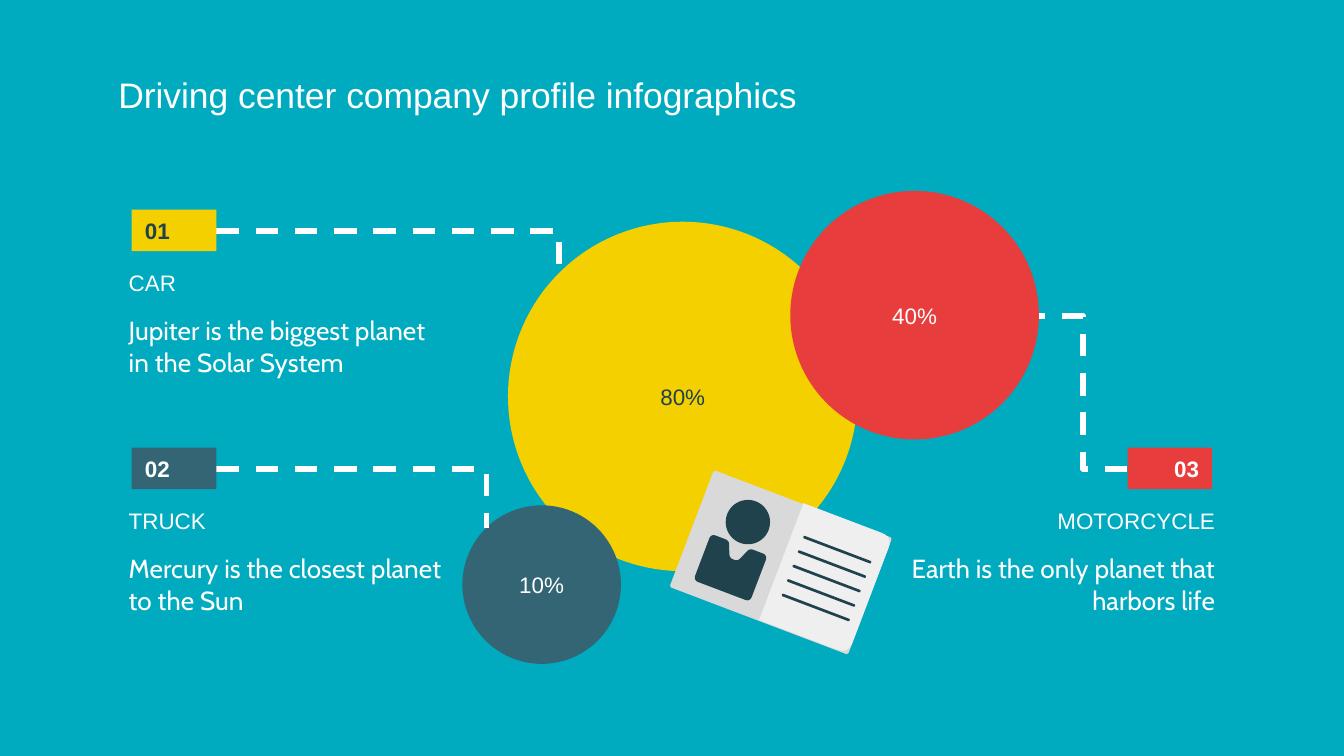
import pptx
import pptx.dml.color
import pptx.enum.dml
import pptx.enum.shapes
import pptx.enum.text
import pptx.oxml
import pptx.oxml.ns
import pptx.util

Inches = pptx.util.Inches
SHAPES = pptx.enum.shapes.MSO_SHAPE
ALIGN = pptx.enum.text.PP_ALIGN
ANCHOR = pptx.enum.text.MSO_ANCHOR

TEAL, WHITE, YELLOW, RED = "00ABBF", "FFFFFF", "F4D000", "E83D3D"
SLATE, DARK, COVER_GREY, PAGE_GREY = "336574", "1F424C", "D9D9D9", "EFEFEF"

TITLE = "Driving center company profile infographics"
# left, top, diameter, fill, label, label colour
CIRCLES = [
    (3.78, 1.65, 2.60, YELLOW, "80%", DARK),
    (3.44, 3.76, 1.18, SLATE, "10%", WHITE),
    (5.88, 1.42, 1.85, RED, "40%", WHITE),
]
# number, heading, description, tag left, tag top, fill, number colour, alignment
ITEMS = [
    ("01", "CAR", "Jupiter is the biggest planet in the Solar System",
     0.98, 1.56, YELLOW, DARK, ALIGN.LEFT),
    ("02", "TRUCK", "Mercury is the closest planet to the Sun",
     0.98, 3.33, SLATE, WHITE, ALIGN.LEFT),
    ("03", "MOTORCYCLE", "Earth is the only planet that harbors life",
     8.39, 3.33, RED, WHITE, ALIGN.RIGHT),
]
TAG_WIDTH, ROW_HEIGHT = 0.63, 0.31
HEADING_WIDTH, TEXT_WIDTH = 1.93, 2.54
TAG_INDENT = 0.12

# Outlines are points, or (control, end) pairs for rounded corners.
LICENSE_TILT = 20.8
PAGE_OUTLINE = [(0, 0), (0.62, 0), ((0.71, 0), (0.71, 0.09)),
                (0.71, 0.84), ((0.71, 0.93), (0.62, 0.93)), (0, 0.93)]
TORSO_WIDTH = 0.45
TORSO_LEFT_HALF = [(0.22, 0.12), ((0.19, 0.12), (0.18, 0.09)), (0.15, 0.02),
                   ((0.14, 0), (0.11, 0)), (0.04, 0), ((0, 0), (0, 0.04)),
                   (0, 0.33), ((0, 0.37), (0.04, 0.37))]
LINE_COUNT = 5
FIRST_LINE, LAST_LINE = (5.96, 4.08), (5.80, 4.51)


def color(hex_value):
    return pptx.dml.color.RGBColor.from_string(hex_value)


def paint(shape, fill):
    shape.shadow.inherit = False
    shape.fill.solid()
    shape.fill.fore_color.rgb = color(fill)
    shape.line.fill.background()


def add_shape(slide, kind, left, top, width, height, fill, rotation=0):
    shape = slide.shapes.add_shape(
        kind, Inches(left), Inches(top), Inches(width), Inches(height))
    paint(shape, fill)
    shape.rotation = rotation
    return shape


def write(shape, text, size, text_color, align=ALIGN.LEFT, font="Arial",
          bold=False, anchor=ANCHOR.MIDDLE):
    frame = shape.text_frame
    frame.word_wrap = True
    frame.auto_size = pptx.enum.text.MSO_AUTO_SIZE.NONE
    frame.vertical_anchor = anchor
    frame.margin_left = frame.margin_right = Inches(0.1)
    frame.margin_top = frame.margin_bottom = Inches(0.1)
    paragraph = frame.paragraphs[0]
    paragraph.alignment = align
    run = paragraph.add_run()
    run.text = text
    run.font.name = font
    run.font.size = pptx.util.Pt(size)
    run.font.bold = bold
    run.font.color.rgb = color(text_color)


def add_text(slide, left, top, width, height, *text, **style):
    box = slide.shapes.add_textbox(
        Inches(left), Inches(top), Inches(width), Inches(height))
    write(box, *text, **style)


def add_elbow(slide, start, end, single_bend=True):
    connector = slide.shapes.add_connector(
        pptx.enum.shapes.MSO_CONNECTOR.ELBOW,
        *(Inches(value) for value in start + end))
    connector.line.color.rgb = color(WHITE)
    connector.line.width = pptx.util.Pt(3)
    connector.line.dash_style = pptx.enum.dml.MSO_LINE.DASH
    properties = connector._element.spPr
    if single_bend:
        geometry = properties.find(pptx.oxml.ns.qn("a:prstGeom"))
        geometry.set("prst", "bentConnector2")
    properties.append(pptx.oxml.parse_xml(
        "<a:effectLst %s/>" % pptx.oxml.ns.nsdecls("a")))


def trace(outline, steps=6):
    """Return the outline as points, with each rounded corner sampled."""
    points = []
    for item in outline:
        if not isinstance(item[0], tuple):
            points.append(item)
            continue
        start, (control, end) = points[-1], item
        for step in range(1, steps + 1):
            t = step / steps
            points.append(tuple(
                (1 - t) ** 2 * a + 2 * t * (1 - t) * b + t ** 2 * c
                for a, b, c in zip(start, control, end)))
    return points


def add_outline(slide, left, top, points, fill):
    corners = [(Inches(left + x), Inches(top + y)) for x, y in points]
    builder = slide.shapes.build_freeform(*corners[0], scale=1.0)
    builder.add_line_segments(corners[1:], close=True)
    shape = builder.convert_to_shape()
    paint(shape, fill)
    shape.rotation = LICENSE_TILT


def add_circles(slide):
    for left, top, diameter, fill, label, label_color in CIRCLES:
        add_shape(slide, SHAPES.OVAL, left, top, diameter, diameter, fill)
        add_text(slide, left + diameter / 2 - 0.59,
                 top + diameter / 2 - ROW_HEIGHT / 2, 1.18, ROW_HEIGHT,
                 label, 12, label_color, ALIGN.CENTER)


def add_items(slide):
    for number, heading, description, left, top, fill, number_color, align in ITEMS:
        rows = [(heading, 12, "Arial", 0.39, HEADING_WIDTH, ROW_HEIGHT),
                (description, 14, "Cabin", 0.70, TEXT_WIDTH, 0.63)]
        for text, size, font, offset, width, height in rows:
            text_left = left - TAG_INDENT
            if align == ALIGN.RIGHT:
                text_left = left + TAG_WIDTH + TAG_INDENT - width
            add_text(slide, text_left, top + offset, width, height,
                     text, size, WHITE, align, font=font)
        tag = add_shape(slide, SHAPES.RECTANGLE, left, top,
                        TAG_WIDTH, ROW_HEIGHT, fill)
        write(tag, number, 12, number_color, align, bold=True)


def add_license(slide):
    cover = add_shape(slide, SHAPES.ROUNDED_RECTANGLE, 5.10, 3.72, 1.42, 0.93,
                      COVER_GREY, LICENSE_TILT)
    cover.adjustments[0] = 0.02
    add_shape(slide, SHAPES.OVAL, 5.40, 3.72, 0.33, 0.33, DARK, LICENSE_TILT)
    left_half = trace(TORSO_LEFT_HALF)
    right_half = [(TORSO_WIDTH - x, y) for x, y in reversed(left_half)]
    add_outline(slide, 5.21, 4.04, left_half + right_half, DARK)
    add_outline(slide, 5.79, 3.84, trace(PAGE_OUTLINE), PAGE_GREY)
    for index in range(LINE_COUNT):
        left, top = (first + (last - first) * index / (LINE_COUNT - 1)
                     for first, last in zip(FIRST_LINE, LAST_LINE))
        line = add_shape(slide, SHAPES.ROUNDED_RECTANGLE, left, top, 0.54, 0.02,
                         DARK, LICENSE_TILT)
        line.adjustments[0] = 0.5


def main():
    presentation = pptx.Presentation()
    presentation.slide_width = Inches(10)
    presentation.slide_height = Inches(10 * 9 / 16)
    slide = presentation.slides.add_slide(presentation.slide_layouts[5])
    slide.background.fill.solid()
    slide.background.fill.fore_color.rgb = color(TEAL)

    title = slide.shapes.title
    title.left, title.top = Inches(0.78), Inches(0.44)
    title.width, title.height = Inches(8.44), Inches(0.63)
    write(title, TITLE, 19, WHITE, anchor=ANCHOR.TOP)

    add_elbow(slide, (8.39, 3.49), (7.73, 2.35), single_bend=False)
    add_circles(slide)
    add_elbow(slide, (1.61, 1.72), (4.16, 2.03))
    add_elbow(slide, (1.61, 3.49), (3.62, 3.93))
    add_items(slide)
    add_license(slide)
    presentation.save("out.pptx")


if __name__ == "__main__":
    main()
